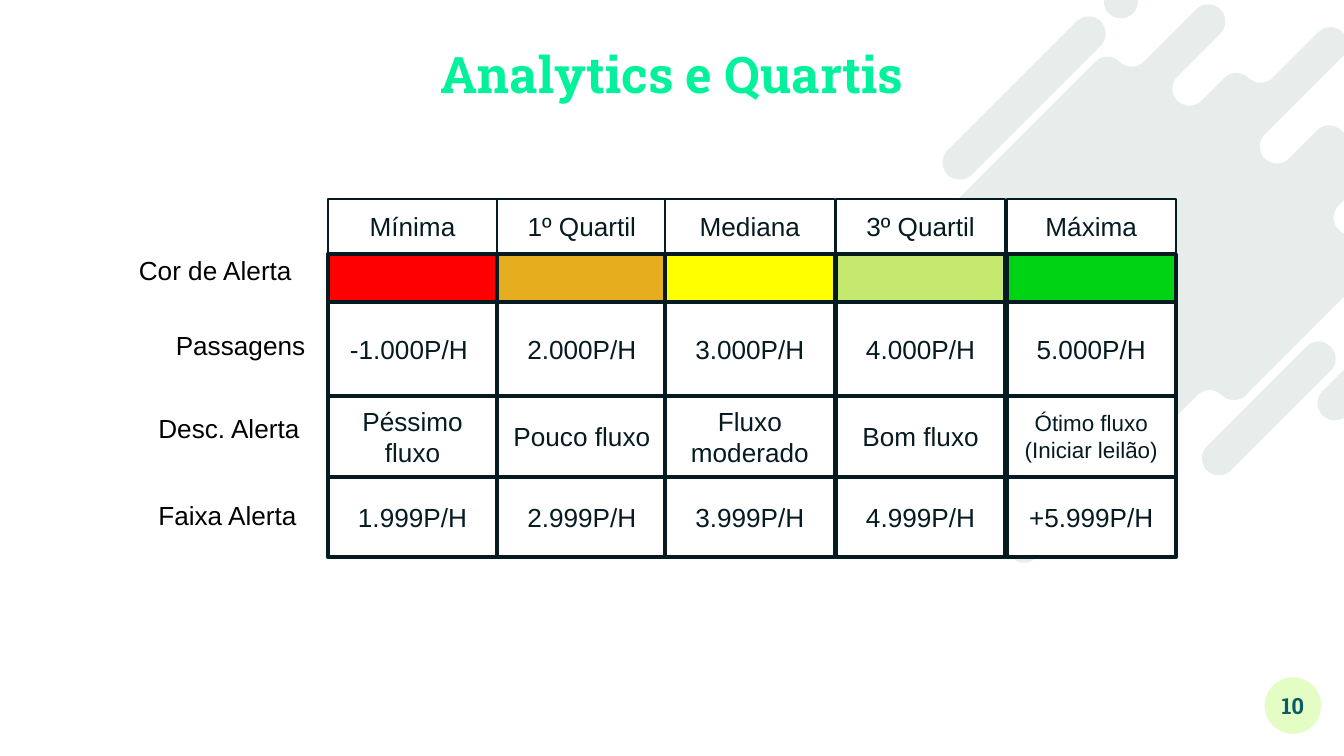
from dataclasses import dataclass
from itertools import accumulate
from math import cos, pi, radians, sin, sqrt

from lxml import etree
from pptx import Presentation
from pptx import util as u
from pptx.dml.color import RGBColor
from pptx.enum import shapes, text
from pptx.oxml.ns import qn

SLIDE_WIDTH, SLIDE_HEIGHT = u.Inches(10), u.Inches(5.625)

BLACK = RGBColor(0x00, 0x00, 0x00)
WHITE = RGBColor(0xFF, 0xFF, 0xFF)
INK = RGBColor(0x06, 0x1A, 0x22)
MINT = RGBColor(0x01, 0xF2, 0x9B)
TEAL = RGBColor(0x07, 0x5E, 0x68)
LIME = RGBColor(0xE4, 0xFD, 0xC4)
MIST = RGBColor(0xE7, 0xED, 0xEB)
RED = RGBColor(0xFF, 0x00, 0x00)
ORANGE = RGBColor(0xE6, 0xAD, 0x1E)
YELLOW = RGBColor(0xFF, 0xFF, 0x00)
LIGHT_GREEN = RGBColor(0xC5, 0xE8, 0x6E)
GREEN = RGBColor(0x00, 0xD2, 0x14)


@dataclass(frozen=True)
class Box:
    """A frame in percent of the slide's width and height."""
    left: float
    top: float
    width: float
    height: float

    def emu(self) -> tuple[int, int, int, int]:
        return (int(self.left * SLIDE_WIDTH / 100), int(self.top * SLIDE_HEIGHT / 100),
                int(self.width * SLIDE_WIDTH / 100), int(self.height * SLIDE_HEIGHT / 100))


@dataclass(frozen=True)
class Style:
    size: float
    color: RGBColor
    font: str = "Arial"
    bold: bool = False
    align: text.PP_ALIGN = text.PP_ALIGN.CENTER
    anchor: text.MSO_ANCHOR = text.MSO_ANCHOR.MIDDLE
    inset: float = 0.1
    line_spacing: float = 1.0


@dataclass(frozen=True)
class Quartile:
    left: float
    name: str
    alert: RGBColor
    passages: str
    description: str
    limit: str
    description_size: float = 14


@dataclass(frozen=True)
class Outline:
    """Start in inches, then diagonal runs and quarter turns (L, R)."""
    x: float
    y: float
    moves: str


def bar(x: float, y: float, run: float) -> Outline:
    return Outline(x, y, f"{run} R R {run} R R")


TITLE = Style(27, MINT, "Roboto Slab", True, anchor=text.MSO_ANCHOR.BOTTOM,
              inset=0, line_spacing=0.9)
PAGE_NUMBER = Style(12, TEAL, "Roboto Slab", True, inset=0)
ROW_LABEL = Style(14, BLACK, align=text.PP_ALIGN.LEFT, anchor=text.MSO_ANCHOR.TOP)

GRID_TOP, COLUMN = 26.31, 12.6
ROWS = (7.29, 6.35, 12.44, 10.67, 10.67)
ROW_TOPS = tuple(accumulate(ROWS[:-1], initial=GRID_TOP))

QUARTILES = (
    Quartile(24.4, "Mínima", RED, "-1.000P/H ", "Péssimo fluxo", "1.999P/H"),
    Quartile(37, "1º Quartil", ORANGE, "2.000P/H", "Pouco fluxo", "2.999P/H"),
    Quartile(49.5, "Mediana", YELLOW, "3.000P/H", "Fluxo moderado", "3.999P/H"),
    Quartile(62.2, "3º Quartil", LIGHT_GREEN, "4.000P/H", "Bom fluxo", "4.999P/H"),
    Quartile(74.9, "Máxima", GREEN, "5.000P/H", "Ótimo fluxo\n(Iniciar leilão)",
             "+5.999P/H", 12),
)

ROW_LABELS = {
    "Cor de Alerta": Box(9.35, 32.8, 15.6, 7.11),
    "Passagens": Box(12.1, 42.67, 12.6, 7.11),
    "Desc. Alerta": Box(10.8, 53.69, 14.4, 7.11),
    "Faixa Alerta": Box(10.8, 65.24, 14.4, 7.11),
}

TURN_RADIUS = 0.18 / sqrt(2)
TURN_HANDLE = 0.55 * TURN_RADIUS
SPLASH = (
    Outline(7.06, 1.91,
            "0.1 R R 0.33 L L 0.17 R R 0.54 L L 0.18 R R 0.05 L L 0.76 R R 0.84 L L "
            "0.96 R L 1.25 L L 0.2 R R 0.49 L L 0.11 R L 0.21 R R 0.58 L L 0.34 R L "
            "0.17 R R 0.32 L L 0.39 R L 1.26 L L"),
    bar(9.84, 2.91, 0.46),
    bar(8.98, 3.32, 0.74),
    bar(7.53, 3.97, 0),
    bar(6.64, 2.7, 0.1),
    bar(7.05, 1.12, 0.96),
    bar(8.25, -0.08, 0),
)


def trace(outline: Outline) -> list[list[tuple[int, int]]]:
    """Follow the moves, first heading up and right; a turn has two handles and an end."""
    x, y, heading = outline.x, outline.y, radians(-45)
    segments = [[(u.Inches(x), u.Inches(y))]]

    def advance(length: float) -> tuple[int, int]:
        nonlocal x, y
        x += length * cos(heading)
        y += length * sin(heading)
        return u.Inches(x), u.Inches(y)

    for move in outline.moves.split():
        if move in "LR":
            first_handle = advance(TURN_HANDLE)
            advance(TURN_RADIUS - TURN_HANDLE)
            heading += pi / 2 if move == "R" else -pi / 2
            second_handle = advance(TURN_RADIUS - TURN_HANDLE)
            segments.append([first_handle, second_handle, advance(TURN_HANDLE)])
        elif float(move):
            segments.append([advance(float(move) * sqrt(2))])
    return segments


def draw_splash(slide) -> None:
    contours = [trace(outline) for outline in SPLASH]
    builder = slide.shapes.build_freeform(*contours[0][0][0])
    for index, (start, *segments) in enumerate(contours):
        if index:
            builder.move_to(*start[0])
        builder.add_line_segments([point for segment in segments for point in segment],
                                  close=True)
    splash = builder.convert_to_shape()
    splash.shadow.inherit = False
    splash.fill.solid()
    splash.fill.fore_color.rgb = MIST
    splash.line.fill.background()

    lines = iter(list(splash._element.iter(qn("a:lnTo"))))
    for _, *segments in contours:
        for segment in segments:
            parts = [next(lines) for _ in segment]
            if len(parts) == 3:
                curve = etree.Element(qn("a:cubicBezTo"))
                parts[0].addprevious(curve)
                for part in parts:
                    curve.append(part[0])
                    part.getparent().remove(part)


def write(shape, words: str, style: Style) -> None:
    frame = shape.text_frame
    frame.word_wrap = True
    frame.vertical_anchor = style.anchor
    frame.margin_left = frame.margin_right = u.Inches(style.inset)
    frame.margin_top = frame.margin_bottom = u.Inches(style.inset)
    frame.text = words
    for paragraph in frame.paragraphs:
        paragraph.alignment = style.align
        paragraph.line_spacing = style.line_spacing
        paragraph.font.name = style.font
        paragraph.font.size = u.Pt(style.size)
        paragraph.font.bold = style.bold
        paragraph.font.color.rgb = style.color
    if style.inset:
        frame.margin_top = frame.margin_bottom = u.Inches(0.05)


def draw_shape(parent, kind: shapes.MSO_SHAPE, box: Box, fill: RGBColor):
    shape = parent.shapes.add_shape(kind, *box.emu())
    shape.shadow.inherit = False
    shape.fill.solid()
    shape.fill.fore_color.rgb = fill
    shape.line.fill.background()
    return shape


def draw_cell(group, left: float, row: int, words: str = "", size: float = 14,
              fill: RGBColor = WHITE) -> None:
    box = Box(left, ROW_TOPS[row], COLUMN, ROWS[row])
    cell = draw_shape(group, shapes.MSO_SHAPE.RECTANGLE, box, fill)
    cell.line.color.rgb = INK
    cell.line.width = u.Pt(2 if row else 1)
    if words:
        write(cell, words, Style(size, INK))


def draw_quartiles(slide) -> None:
    group = slide.shapes.add_group_shape()
    for quartile in QUARTILES:
        draw_cell(group, quartile.left, 0, quartile.name)
        draw_cell(group, quartile.left, 1, fill=quartile.alert)
        draw_cell(group, quartile.left, 2, quartile.passages)
        draw_cell(group, quartile.left, 3, quartile.description, quartile.description_size)
        draw_cell(group, quartile.left, 4, quartile.limit)


def main() -> None:
    deck = Presentation()
    deck.slide_width, deck.slide_height = SLIDE_WIDTH, SLIDE_HEIGHT
    slide = deck.slides.add_slide(deck.slide_layouts[6])
    draw_splash(slide)
    badge = draw_shape(slide, shapes.MSO_SHAPE.OVAL, Box(94.1, 89.6, 4.2, 7.47), LIME)
    write(badge, "10", PAGE_NUMBER)
    for label, box in ROW_LABELS.items():
        write(slide.shapes.add_textbox(*box.emu()), label, ROW_LABEL)
    draw_quartiles(slide)
    title = slide.shapes.add_textbox(*Box(9.35, 6.15, 81.3, 7.64).emu())
    write(title, "Analytics e Quartis", TITLE)
    deck.save("out.pptx")


if __name__ == "__main__":
    main()
